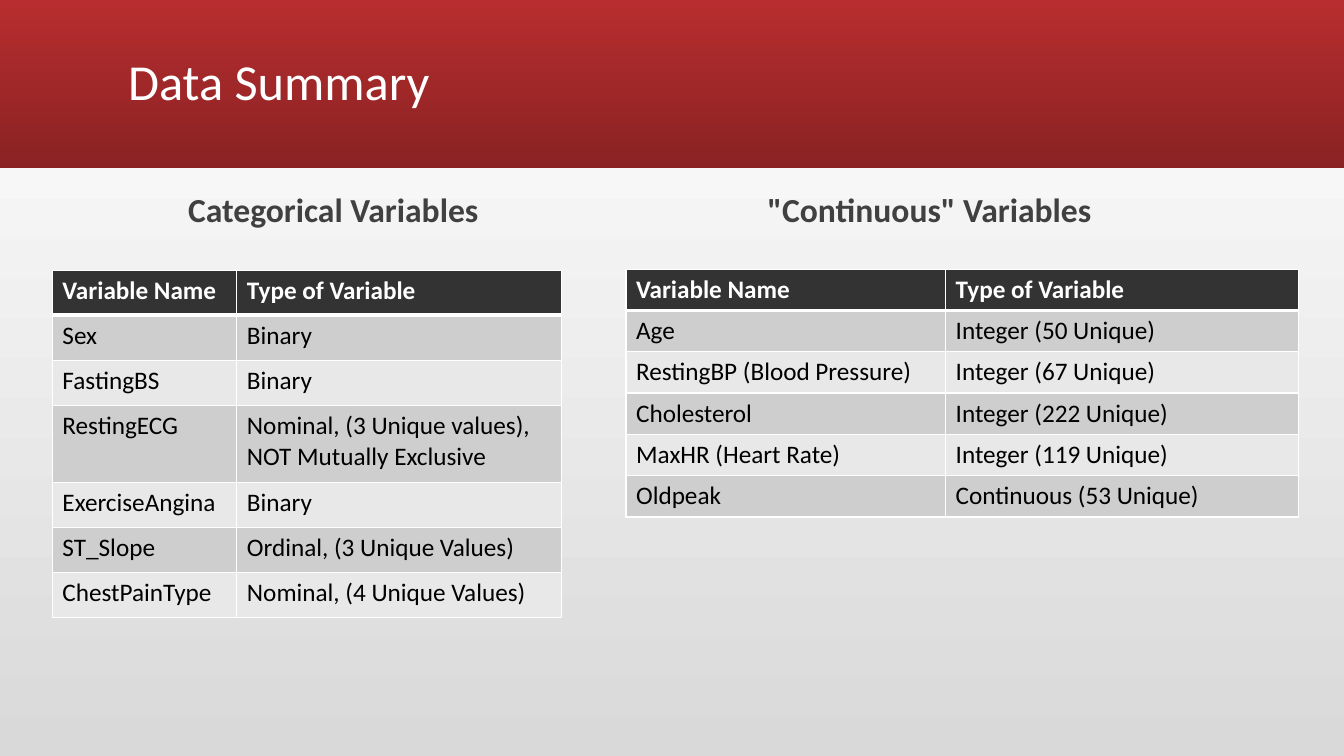
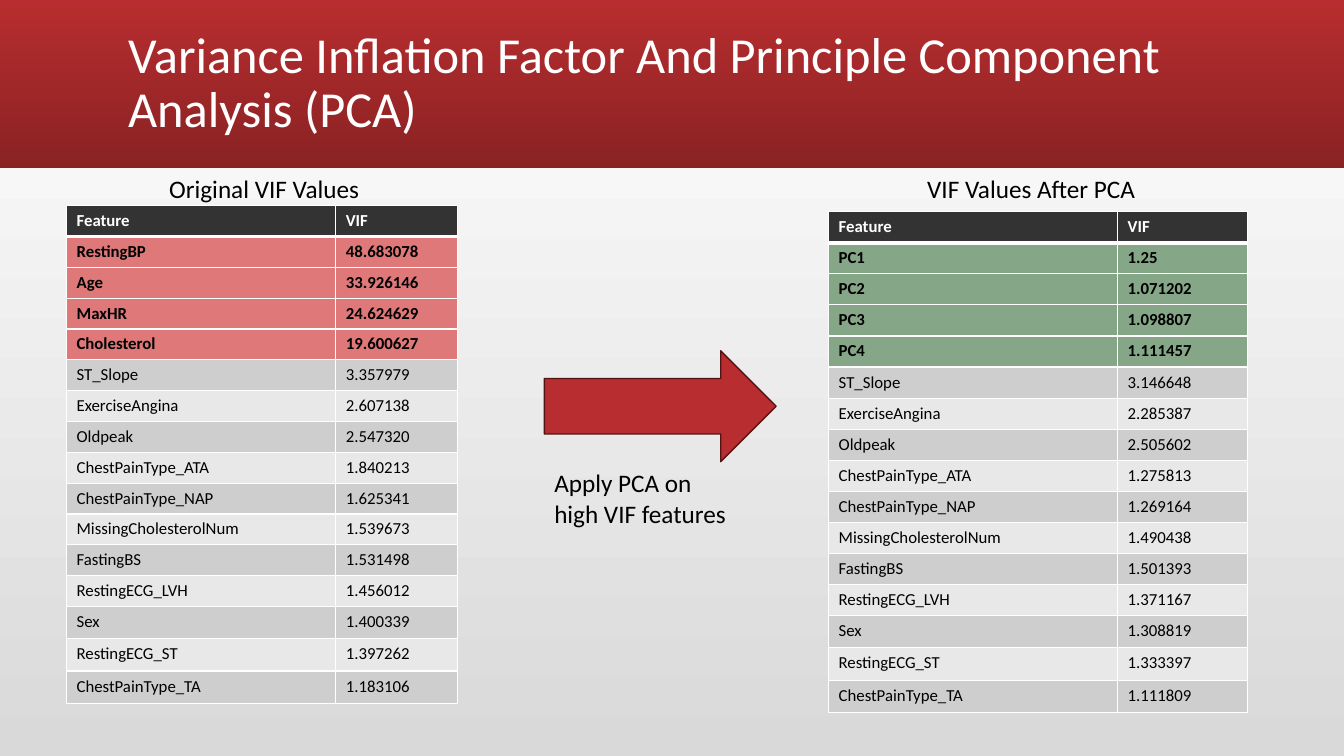
from lxml import etree
from pptx import Presentation
from pptx.dml.color import RGBColor
from pptx.enum.shapes import MSO_SHAPE
from pptx.enum.text import MSO_ANCHOR, MSO_AUTO_SIZE, PP_ALIGN
from pptx.oxml.ns import qn
from pptx.util import Inches, Pt

LEFT, CENTER = PP_ALIGN.LEFT, PP_ALIGN.CENTER
TOP, MIDDLE = MSO_ANCHOR.TOP, MSO_ANCHOR.MIDDLE
NO_AUTOFIT = MSO_AUTO_SIZE.NONE
RECTANGLE, RIGHT_ARROW = MSO_SHAPE.RECTANGLE, MSO_SHAPE.RIGHT_ARROW

FONT = "Calibri"
COLORS = {
    "red": "B82D2F", "dark_red": "8A2223", "arrow_edge": "511415",
    "page_top": "FFFFFF", "page_bottom": "D9D9D9",
    "white": "FFFFFF", "black": "000000", "heading": "404040",
    "header": "333333", "odd_row": "CECECE", "even_row": "E8E8E8",
    "high_vif": "DE7879", "component": "86A787",
}
RGB = {role: RGBColor.from_string(value) for role, value in COLORS.items()}

deck = Presentation()
deck.slide_width, deck.slide_height = Inches(13.33), Inches(7.5)
COL, ROW = deck.slide_width / 100, deck.slide_height / 100


def set_text(box, text, area, size, color, bold=False, align=LEFT, anchor=TOP, spacing=1.0):
    left, top, width, height = area
    box.left, box.width = int(left * COL), int(width * COL)
    box.top, box.height = int(top * ROW), int(height * ROW)
    frame = box.text_frame
    frame.text = text
    frame.word_wrap = True
    frame.auto_size = NO_AUTOFIT
    frame.vertical_anchor = anchor
    paragraph = frame.paragraphs[0]
    paragraph.alignment = align
    paragraph.line_spacing = spacing
    paragraph.space_before = Pt(0)
    font = paragraph.runs[0].font
    font.name, font.size, font.bold = FONT, Pt(size), bold
    font.color.rgb = RGB[color]


def add_grid(slide, rows, left, top, widths, height, size, fixed_rows, marked=0, mark=None):
    table = slide.shapes.add_table(
        len(rows), len(widths), int(left * COL), int(top * ROW),
        int(sum(widths) * COL), int(height * ROW)).table
    for column, width in zip(table.columns, widths):
        column.width = int(width * COL)
    common = (height - sum(fixed_rows.values())) / (len(rows) - len(fixed_rows))
    for r, values in enumerate(rows):
        table.rows[r].height = int(fixed_rows.get(r, common) * ROW)
        is_header, is_marked = r == 0, 0 < r <= marked
        if is_header:
            fill = "header"
        elif is_marked:
            fill = mark
        else:
            fill = "odd_row" if r % 2 else "even_row"
        for c, value in enumerate(values):
            cell = table.cell(r, c)
            properties = cell._tc.get_or_add_tcPr()
            for side in ("lnL", "lnR", "lnT", "lnB"):
                thick = (r, side) in ((0, "lnB"), (1, "lnT"))
                border = etree.SubElement(properties, qn("a:" + side), w=str(Pt(3 if thick else 1)))
                solid = etree.SubElement(border, qn("a:solidFill"))
                etree.SubElement(solid, qn("a:srgbClr"), val=COLORS["white"])
            cell.fill.solid()
            cell.fill.fore_color.rgb = RGB[fill]
            cell.text = value
            font = cell.text_frame.paragraphs[0].runs[0].font
            font.name, font.size, font.bold = FONT, Pt(size), is_header or is_marked
            font.color.rgb = RGB["white" if is_header else "black"]


summary = deck.slides.add_slide(deck.slide_layouts[4])
vif = deck.slides.add_slide(deck.slide_layouts[5])

master = deck.slide_master
band = summary.shapes.add_shape(RECTANGLE, 0, 0, deck.slide_width, int(22.22 * ROW))
band.shadow.inherit = False
band.line.fill.background()
master.element.cSld.spTree.insert(2, band.element)
for fill, angle, start, end in (
    (master.background.fill, 90, "page_bottom", "page_top"),
    (band.fill, 270, "red", "dark_red"),
):
    fill.gradient()
    fill.gradient_angle = angle
    for stop, color, position in zip(fill.gradient_stops, (start, end), (0, 1)):
        stop.color.rgb = RGB[color]
        stop.position = position

for slide, title, width in (
    (summary, "Data Summary", 82.5),
    (vif, "Variance Inflation Factor And Principle Component Analysis (PCA)", 87),
):
    set_text(slide.shapes.title, title, (8.78, 1.47, width, 19.33), 36, "white",
             anchor=MIDDLE, spacing=0.9)

bodies = {holder.placeholder_format.idx: holder for holder in summary.placeholders}
for idx, heading, area in (
    (1, "Categorical Variables", (8.7, 24.93, 32.2, 6.5)),
    (3, '"Continuous" Variables', (50.1, 24.93, 38.1, 8.4)),
):
    set_text(bodies[idx], heading, area, 24, "heading", True, CENTER, spacing=0.9)
for idx in (2, 4):
    unused = bodies[idx].element
    unused.getparent().remove(unused)

variable_header = ("Variable Name", "Type of Variable")
categorical = [
    variable_header,
    ("Sex", "Binary"),
    ("FastingBS", "Binary"),
    ("RestingECG", "Nominal, (3 Unique values), NOT Mutually Exclusive"),
    ("ExerciseAngina", "Binary"),
    ("ST_Slope", "Ordinal, (3 Unique Values)"),
    ("ChestPainType", "Nominal, (4 Unique Values)"),
]
continuous = [
    variable_header,
    ("Age", "Integer (50 Unique)"),
    ("RestingBP (Blood Pressure)", "Integer (67 Unique)"),
    ("Cholesterol", "Integer (222 Unique)"),
    ("MaxHR (Heart Rate)", "Integer (119 Unique)"),
    ("Oldpeak", "Continuous (53 Unique)"),
]
add_grid(summary, categorical, 3.9, 35.73, (13.73, 24.15), 46, 18, {3: 10.13})
add_grid(summary, continuous, 46.58, 35.6, (23.78, 26.25), 32.8, 18, {})

vif_header = ("Feature", "VIF")
before_pca = [
    ("RestingBP", "48.683078"),
    ("Age", "33.926146"),
    ("MaxHR", "24.624629"),
    ("Cholesterol", "19.600627"),
]
after_pca = [
    ("PC1", "1.25"),
    ("PC2", "1.071202"),
    ("PC3", "1.098807"),
    ("PC4", "1.111457"),
]
kept_features = [
    ("ST_Slope", "3.357979", "3.146648"),
    ("ExerciseAngina", "2.607138", "2.285387"),
    ("Oldpeak", "2.547320", "2.505602"),
    ("ChestPainType_ATA", "1.840213", "1.275813"),
    ("ChestPainType_NAP", "1.625341", "1.269164"),
    ("MissingCholesterolNum", "1.539673", "1.490438"),
    ("FastingBS", "1.531498", "1.501393"),
    ("RestingECG_LVH", "1.456012", "1.371167"),
    ("Sex", "1.400339", "1.308819"),
    ("RestingECG_ST", "1.397262", "1.333397"),
    ("ChestPainType_TA", "1.183106", "1.111809"),
]
last_rows = {r: 4.27 for r in (13, 14, 15)}
for stage, (leading, mark, left, top, widths, height) in enumerate((
    (before_pca, "high_vif", 4.95, 27.2, (20.03, 9.08), 65.87),
    (after_pca, "component", 61.65, 28, (21.5, 9.7), 66.27),
), start=1):
    rows = [vif_header, *leading, *((kept[0], kept[stage]) for kept in kept_features)]
    add_grid(vif, rows, left, top, widths, height, 12, last_rows, len(leading), mark)

for caption, area in (
    ("Original VIF Values", (11.85, 22.27, 20.5, 5.33)),
    ("VIF Values After PCA", (68.25, 22.27, 20.5, 5.33)),
    ("Apply PCA on high VIF features", (40.5, 61.2, 14.9, 9.47)),
):
    set_text(vif.shapes.add_textbox(0, 0, 0, 0), caption, area, 18, "black")

pca_arrow = vif.shapes.add_shape(
    RIGHT_ARROW, int(40.5 * COL), int(46.4 * ROW), int(17.25 * COL), int(14.67 * ROW))
pca_arrow.shadow.inherit = False
pca_arrow.fill.solid()
pca_arrow.fill.fore_color.rgb = RGB["red"]
pca_arrow.line.color.rgb = RGB["arrow_edge"]
pca_arrow.line.width = Pt(1)

deck.save("out.pptx")
